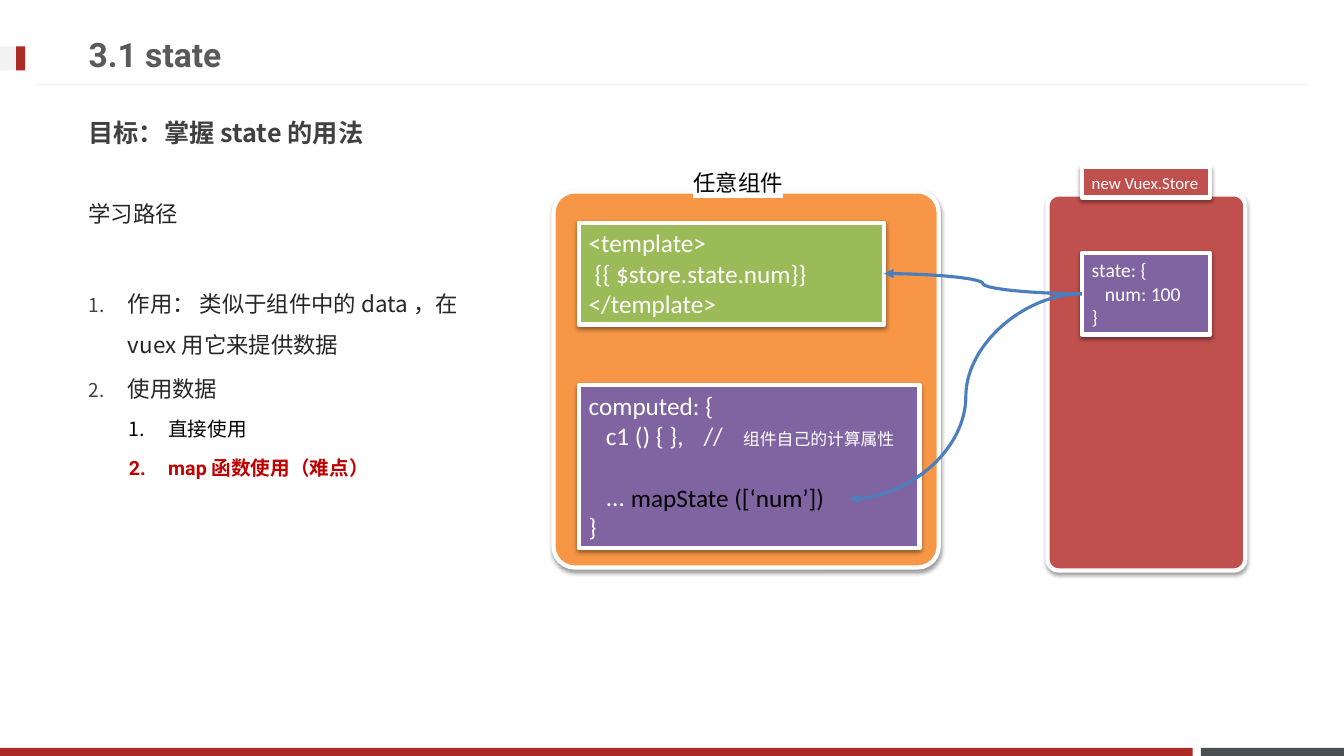
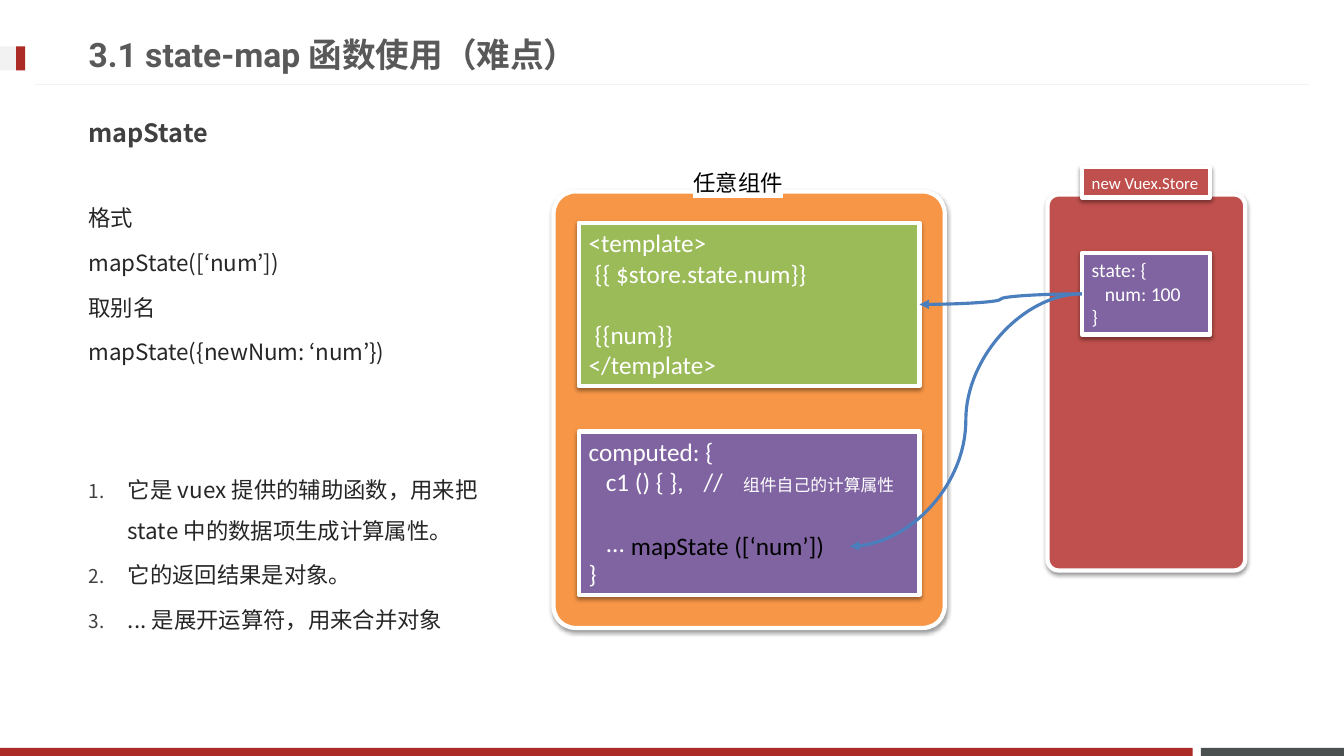
from pptx import Presentation
from pptx.util import Inches, Pt
from pptx.dml.color import RGBColor
from pptx.enum.shapes import MSO_SHAPE as SHAPE, MSO_CONNECTOR as LINE
from pptx.enum.text import MSO_ANCHOR as ANCHOR, PP_ALIGN as ALIGN
from pptx.oxml import parse_xml
from pptx.oxml.ns import nsdecls, qn

C = {"red": "AD2B26", "slate": "49504F", "pale": "F2F2F2", "white": "FFFFFF",
     "black": "000000", "title": "595959", "head": "404040", "body": "262626",
     "alert": "C00000", "orange": "F79646", "store": "C0504D",
     "purple": "8064A2", "green": "9BBB59", "arrow": "4B7EBC"}
CJK = "Noto Sans CJK JP"

# Text styles
TITLE = {"size": 24, "font": "Roboto", "color": "title", "bold": True}
HEAD = {"size": 18, "font": CJK, "color": "head", "bold": True}
BODY = {"size": 16, "font": CJK, "color": "body", "line": 29.3, "before": 2.5}
ITEM = {"left": 0.39, "number": True, "mark": True}
SUB = {"size": 14, "font": "Roboto", "color": "black", "line": 24.6,
       "before": 3, "left": 0.79, "number": True, "level": 1}
CODE = {"size": 18, "font": "Calibri", "color": "white"}
CALL = {**CODE, "color": "black"}
LABEL = {**CALL, "size": 16, "highlight": True}


def xml(tag, inner="", attrs=""):
    return parse_xml(f"<a:{tag} {nsdecls('a')} {attrs}>{inner}</a:{tag}>")


def add_box(s, at, paras=(), style=CODE, fill=None, kind=SHAPE.RECTANGLE,
            framed=False, anchor=ANCHOR.TOP):
    """Text box without a fill; otherwise a shape, framed with line and shadow."""
    at = [Inches(v) for v in at]
    sp = s.shapes.add_shape(kind, *at) if fill else s.shapes.add_textbox(*at)
    if fill:
        sp.shadow.inherit = False
        sp.fill.solid()
        sp.fill.fore_color.rgb = RGBColor.from_string(C[fill])
        sp.line.fill.background()
    if framed:
        sp.line.color.rgb = RGBColor.from_string(C["white"])
        sp.line.width = Pt(3)
        sp._element.spPr.find(qn("a:effectLst")).append(xml(
            "outerShdw", '<a:srgbClr val="000000"><a:alpha val="38000"/></a:srgbClr>',
            f'blurRad="{Pt(3.1)}" dist="{Pt(1.6)}" dir="5400000" rotWithShape="0"'))
    if kind == SHAPE.ROUNDED_RECTANGLE:
        sp.adjustments[0] = 0.056
    tf = sp.text_frame
    tf.word_wrap, tf.vertical_anchor = True, anchor
    for i, (text, extra) in enumerate(paras):
        f = {**style, **extra}
        p = tf.add_paragraph() if i else tf.paragraphs[0]
        p.alignment = ALIGN.LEFT
        p.level = f.get("level", 0)
        p.space_before = Pt(f.get("before", 0))
        if "line" in f:
            p.line_spacing = Pt(f["line"])
        pPr = p._p.get_or_add_pPr()
        pPr.set("marL", str(Inches(f.get("left", 0))))
        pPr.set("indent", str(Inches(-0.39 if "number" in f else 0)))
        if "mark" in f:
            pPr.append(xml("buClr", f'<a:srgbClr val="{C["head"]}"/>'))
            pPr.append(xml("buSzPct", attrs='val="85000"'))
        if "number" in f:
            pPr.append(xml("buAutoNum", attrs='type="arabicPeriod"'))
        # Each run is text, size and letter spacing in points
        for part, size, gap in [(text, f["size"], 0)] + f.get("tail", []):
            r = p.add_run()
            r.text = part
            for name, value in {"name": f["font"], "size": Pt(size),
                                "bold": f.get("bold", False)}.items():
                setattr(r.font, name, value)
            r.font.color.rgb = RGBColor.from_string(C[f["color"]])
            if gap:
                r._r.rPr.set("spc", str(gap * 100))
            latin = r._r.rPr.find(qn("a:latin"))
            latin.addnext(xml("ea", attrs=f'typeface="{CJK}"'))
            if "highlight" in f:
                latin.addprevious(xml("highlight", f'<a:srgbClr val="{C["white"]}"/>'))
    return sp


# What the slides differ in
STORE_NUM = ("{{ $store.state.num}}", {"left": 0.06})
SLIDES = [
    {"title": "3.1 state", "head": "目标：掌握state的用法",
     "texts": [(1.8, 4.61, [
         ("学习路径", {}),
         ("作用： 类似于组件中的data，在vuex用它来提供数据", {**ITEM, "before": 34.3}),
         ("使用数据", ITEM),
         ("直接使用", SUB),
         ("map函数使用（难点）", {**SUB, "color": "alert", "bold": True})])],
     "panel": (3.82, 3.73), "template": (3.03, 1.01), "computed": 3.82,
     "call": 4.74, "markup": [STORE_NUM]},
    {"title": "3.1 state-map函数使用（难点）", "head": "mapState",
     "texts": [(1.84, 1.88, [
         ("格式", {}), ("mapState([‘num’])", {}),
         ("取别名", {}), ("mapState({newNum: ‘num’})", {})]),
               (4.53, 1.88, [
         ("它是vuex提供的辅助函数，用来把state中的数据项生成计算属性。", ITEM),
         ("它的返回结果是对象。", ITEM),
         ("...是展开运算符，用来合并对象", ITEM)])],
     "panel": (3.88, 4.33), "template": (3.38, 1.62), "computed": 4.28,
     "call": 5.21,
     "markup": [STORE_NUM, ("{{num}}", {"left": 0.06, "before": 22})]},
]
BANDS = [((11.91, 7.42, 1.42, 0.08), "slate"), ((0, 7.42, 11.83, 0.08), "red"),
         ((0, 0.46, 0.25, 0.24), "pale"), ((0.16, 0.46, 0.09, 0.24), "red")]

prs = Presentation()
prs.slide_width, prs.slide_height = Inches(13.33), Inches(7.5)

for d in SLIDES:
    s = prs.slides.add_slide(prs.slide_layouts[6])

    # Bands, title rule and headings
    for at, color in BANDS:
        add_box(s, at, fill=color)
    rule = s.shapes.add_connector(LINE.STRAIGHT, Inches(0.35), Inches(0.84),
                                  Inches(12.98), Inches(0.84))
    add_box(s, (0.78, 0.25, 9.59, 0.57), [(d["title"], {})], TITLE, anchor=ANCHOR.MIDDLE)
    add_box(s, (0.78, 1.03, 11.72, 0.57), [(d["head"], {})], HEAD, anchor=ANCHOR.MIDDLE)

    # Notes on the left
    for top, height, paras in d["texts"]:
        add_box(s, (0.78, top, 4.28, height), paras, BODY)

    # Component and store panels
    for at, color in [((5.49, 1.9, *d["panel"]), "orange"),
                      ((10.39, 1.93, 1.96, 3.73), "store")]:
        add_box(s, at, fill=color, kind=SHAPE.ROUNDED_RECTANGLE, framed=True)
    add_box(s, (6.78, 1.63, 1.27, 0.37), [("任意组件", {})], LABEL)
    state = add_box(s, (10.73, 2.51, 1.27, 0.81),
                    [("state: {", {}), ("num: 100", {"left": 0.13}), ("}", {})],
                    {**CODE, "size": 14}, "purple", framed=True)
    add_box(s, (10.73, 1.66, 1.27, 0.3), [("new Vuex.Store", {})],
            {**CODE, "size": 12}, "store", framed=True)

    # Code blocks
    template = add_box(s, (5.74, 2.21, *d["template"]),
                       [("<template>", {}), *d["markup"], ("</template>", {})],
                       fill="green", framed=True)
    add_box(s, (5.74, d["computed"], 3.38, 1.62),
            [("computed: {", {}),
             ("c1 () { },", {"left": 0.17, "tail": [
                 (" ", 18, 10), ("//", 18, 0), (" ", 18, 6),
                 ("组件自己的计算属性", 12, 0)]}),
             ("...", {"left": 0.17, "before": 22}),
             ("}", {})], fill="purple", framed=True)
    call = add_box(s, (6.16, d["call"], 2.27, 0.42), [("mapState ([‘num’])", {})], CALL)

    # Arrows from the state to its users
    lines = [(rule, "pale", 0.75)]
    for target in (call, template):
        arrow = s.shapes.add_connector(LINE.CURVE, 0, 0, 0, 0)
        arrow.begin_connect(state, 1)
        arrow.end_connect(target, 3)
        lines.append((arrow, "arrow", 2.25))
    for cx, color, width in lines:
        cx.line.color.rgb = RGBColor.from_string(C[color])
        cx.line.width = Pt(width)
        if color == "arrow":
            cx.line._get_or_add_ln().append(xml("tailEnd", attrs='type="triangle"'))
        cx._element.spPr.append(xml("effectLst"))

prs.save("out.pptx")
